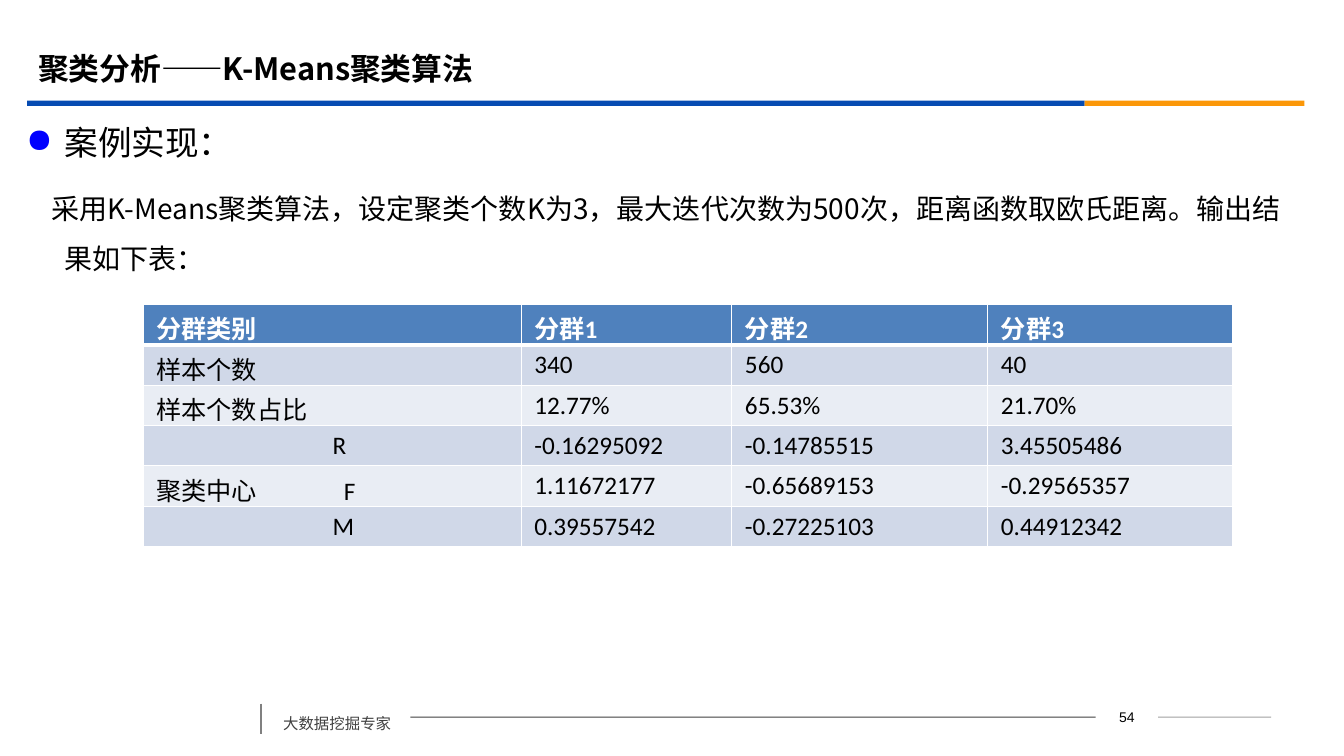
"""Build the K-Means case slide: title, explanation, cluster table and footer."""
from lxml.etree import SubElement
from pptx import Presentation
from pptx.dml.color import RGBColor
from pptx.enum.shapes import MSO_CONNECTOR, MSO_SHAPE
from pptx.enum.text import MSO_ANCHOR, PP_ALIGN
from pptx.oxml.ns import qn
from pptx.util import Inches, Pt

CJK = "Noto Sans CJK SC"
BLACK = RGBColor(0x00, 0x00, 0x00)
WHITE = RGBColor(0xFF, 0xFF, 0xFF)
BLUE = RGBColor(0x06, 0x4B, 0xB2)
ORANGE = RGBColor(0xFB, 0x97, 0x08)
DARK = RGBColor(0x40, 0x40, 0x40)
GREY = RGBColor(0x80, 0x80, 0x80)
SILVER = RGBColor(0xA0, 0xA0, 0xA0)
HEADER = RGBColor(0x4F, 0x81, 0xBD)
BANDS = [RGBColor(0xE9, 0xED, 0xF4), RGBColor(0xD0, 0xD8, 0xE8)]

prs = Presentation()
prs.slide_width, prs.slide_height = Inches(13.33), Inches(7.5)
COL, ROW = prs.slide_width / 100, prs.slide_height / 100
s = prs.slides.add_slide(prs.slide_layouts[6])


def place(col, row, cols, rows):
    """Turn grid columns and rows into slide lengths."""
    return int(col * COL), int(row * ROW), int(cols * COL), int(rows * ROW)


def write(p, text, size, color, font=CJK, bold=False):
    """Add one run with its Latin and East Asian fonts."""
    r = p.add_run()
    r.text = text
    r.font.size, r.font.bold, r.font.name = Pt(size), bold, font
    r.font.color.rgb = color
    SubElement(r._r.get_or_add_rPr(), qn("a:ea"), typeface=CJK)


for col, cols, color in [(2.03, 78.68, BLUE), (80.7, 16.35, ORANGE)]:
    bar = s.shapes.add_shape(MSO_SHAPE.RECTANGLE, *place(col, 13.33, cols, 0.67))
    bar.shadow.inherit = False
    bar.fill.solid()
    bar.fill.fore_color.rgb = color
    bar.line.fill.background()

frames = {}
for name, area, inset in [
    ("number", (81.53, 93.2, 4.65, 3.33), (0, 0)),
    ("footer", (20.33, 92.53, 10.2, 5.07), (0.1, 0.05)),
    ("body", (1.95, 13.47, 94.5, 23.73), (0, 0)),
    ("title", (2.1, 5.2, 90, 7.73), (0.1, 0.05)),
]:
    sp = s.shapes.add_textbox(*place(*area))
    tf = sp.text_frame
    tf.word_wrap = True
    tf.margin_left = tf.margin_right = Inches(inset[0])
    tf.margin_top = tf.margin_bottom = Inches(inset[1])
    frames[name] = sp

tf = frames["number"].text_frame
tf.vertical_anchor = MSO_ANCHOR.MIDDLE
tf.paragraphs[0].alignment = PP_ALIGN.CENTER
write(tf.paragraphs[0], "54", 10, BLACK, "Arial")

p = frames["footer"].text_frame.paragraphs[0]
p.line_spacing, p.space_before = 1.5, Pt(6)
write(p, "大数据挖掘专家", 11, DARK)

tf = frames["title"].text_frame
tf.vertical_anchor = MSO_ANCHOR.MIDDLE
write(tf.paragraphs[0], "聚类分析——K-Means聚类算法", 22, BLACK, bold=True)

tf = frames["body"].text_frame
for p, text, size, indent, bullet in [
    (tf.paragraphs[0], "案例实现：", 24, -0.38, "●"),
    (tf.add_paragraph(), "采用K-Means聚类算法，设定聚类个数K为3，最大迭代次数为500次，"
     "距离函数取欧氏距离。输出结果如下表：", 20, -0.13, None),
]:
    p.line_spacing = 1.5
    p.space_before = p.space_after = Pt(size * 0.2)
    pPr = p._p.get_or_add_pPr()
    pPr.set("marL", str(Inches(0.38)))
    pPr.set("indent", str(Inches(indent)))
    if bullet:
        SubElement(SubElement(pPr, qn("a:buClr")), qn("a:srgbClr"), val="0000FF")
        SubElement(pPr, qn("a:buChar"), char=bullet)
    write(p, text, size, BLACK)

number = frames["number"]
for x1, y1, x2, y2, color, width, joint in [
    (86.18, 94.87, 94.58, 94.87, SILVER, 0.75, 3),
    (30.53, 94.87, 81.53, 94.87, DARK, 0.75, 1),
    (19.43, 93.07, 19.43, 97.07, GREY, 1.25, None),
]:
    line = s.shapes.add_connector(MSO_CONNECTOR.STRAIGHT, *place(x1, y1, x2, y2))
    line.line.color.rgb, line.line.width = color, Pt(width)
    SubElement(line._element.spPr, qn("a:effectLst"))
    if joint == 3:
        line.begin_connect(number, joint)
    elif joint == 1:
        line.end_connect(number, joint)

rows = [
    ("分群类别", "分群1", "分群2", "分群3"),
    ("样本个数", "340", "560", "40"),
    ("样本个数占比", "12.77%", "65.53%", "21.70%"),
    ("\tR", "-0.16295092", "-0.14785515", "3.45505486"),
    ("聚类中心\tF", "1.11672177", "-0.65689153", "-0.29565357"),
    ("\tM", "0.39557542", "-0.27225103", "0.44912342"),
]
widths = [28.13, 15.68, 19.05, 18.23]
table = s.shapes.add_table(len(rows), len(widths), *place(10.65, 40.27, sum(widths), 32)).table
table.horz_banding = False
for column, width in zip(table.columns, widths):
    column.width = int(width * COL)

for i, row in enumerate(rows):
    for j, text in enumerate(row):
        cell = table.cell(i, j)
        cell.margin_left = cell.margin_right = Inches(0.13)
        cell.margin_top = cell.margin_bottom = Inches(0.05)
        for side in "LRTB":
            thick = (i, side) in [(0, "B"), (1, "T")]
            ln = SubElement(cell._tc.get_or_add_tcPr(), qn(f"a:ln{side}"), w=str(Pt(3 if thick else 1)))
            SubElement(SubElement(ln, qn("a:solidFill")), qn("a:srgbClr"), val="FFFFFF")
        cell.fill.solid()
        cell.fill.fore_color.rgb = BANDS[i % 2] if i else HEADER
        p = cell.text_frame.paragraphs[0]
        p.space_before = Pt(3.6)
        if "\t" in text:
            tabs = SubElement(p._p.get_or_add_pPr(), qn("a:tabLst"))
            stop = 1.86 if "F" in text else 1.75
            SubElement(tabs, qn("a:tab"), pos=str(Inches(stop)), algn="l")
        write(p, text, 18, BLACK if i else WHITE, "Calibri", i == 0)

prs.save("out.pptx")
